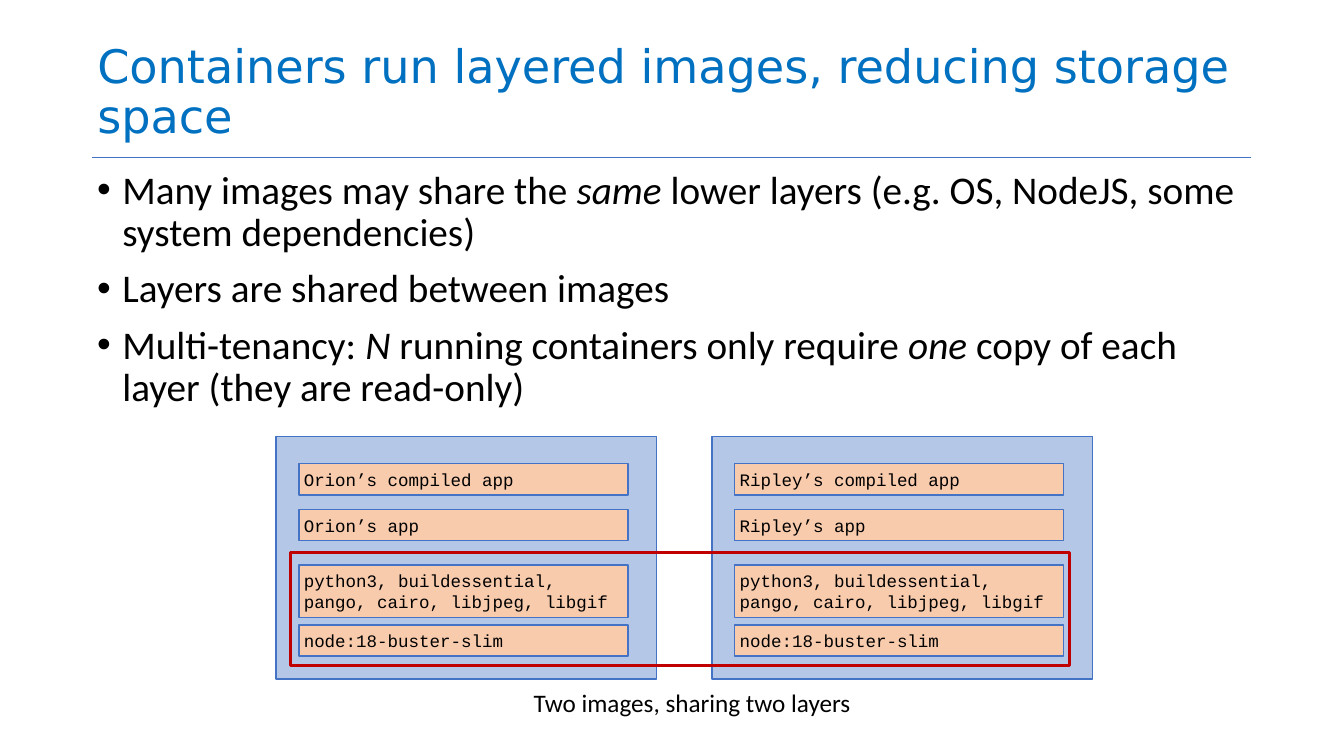
from dataclasses import dataclass

from lxml import etree
from pptx import Presentation
from pptx.dml.color import RGBColor
from pptx.enum.shapes import MSO_CONNECTOR, MSO_SHAPE
from pptx.enum.text import MSO_ANCHOR, MSO_AUTO_SIZE, PP_ALIGN
from pptx.oxml.ns import qn
from pptx.util import Inches, Pt

RECT = MSO_SHAPE.RECTANGLE
LINE = MSO_CONNECTOR.STRAIGHT
TOP, MID, LOW = MSO_ANCHOR.TOP, MSO_ANCHOR.MIDDLE, MSO_ANCHOR.BOTTOM
LEFT = PP_ALIGN.LEFT
NO_FIT = MSO_AUTO_SIZE.NONE


@dataclass(frozen=True)
class Theme:
    head: str = "0070C0"
    ink: str = "000000"
    edge: str = "4472C4"
    image: str = "B4C7E7"
    layer: str = "F8CBAD"
    mark: str = "C00000"
    head_font: str = "DejaVu Sans"
    body_font: str = "Calibri"
    code_font: str = "Courier New"
    head_size: int = 66
    body_size: int = 56
    note_size: int = 36
    code_size: int = 25


THEME = Theme()

# Each point is a list of (text, italic) runs
POINTS = [
    [("Many images may share the ", False), ("same", True),
     (" lower layers (e.g. OS, NodeJS, some system dependencies)", False)],
    [("Layers are shared between images", False)],
    [("Multi-tenancy: ", False), ("N", True),
     (" running containers only require ", False), ("one", True),
     (" copy of each layer (they are read-only)", False)],
]
OWNERS = ["Orion", "Ripley"]
# Layers from top to bottom: text, offset within the image, height
LAYERS = [
    ("{}’s compiled app", 0.54, 0.62),
    ("{}’s app", 1.45, 0.62),
    ("python3, buildessential, pango, cairo, libjpeg, libgif", 2.55, 1.04),
    ("node:18-buster-slim", 3.74, 0.62),
]


def color(code):
    return RGBColor.from_string(code)


def style(para, font, size, code):
    para.alignment = LEFT
    para.font.name = font
    para.font.size = Pt(size)
    para.font.color.rgb = color(code)


def set_frame(frame, anchor):
    frame.word_wrap = True
    frame.auto_size = NO_FIT
    frame.vertical_anchor = anchor
    frame.margin_left = frame.margin_right = Inches(0.1)
    frame.margin_top = frame.margin_bottom = Inches(0.1)


def add_rect(slide, box, fill, edge, width):
    rect = slide.shapes.add_shape(RECT, *map(Inches, box))
    rect.shadow.inherit = False
    if fill:
        rect.fill.solid()
        rect.fill.fore_color.rgb = color(fill)
    else:
        rect.fill.background()
    rect.line.color.rgb = color(edge)
    rect.line.width = Pt(width)
    return rect


def add_bullet(para):
    props = para._p.get_or_add_pPr()
    props.set("marL", str(Inches(0.5)))
    props.set("indent", str(-Inches(0.5)))
    etree.SubElement(props, qn("a:buFont")).set("typeface", "Arial")
    etree.SubElement(props, qn("a:buChar")).set("char", "•")


def add_title(slide, box, text):
    left, top, width, height = box
    title = slide.shapes.title
    title.left, title.top, title.width, title.height = map(Inches, box)
    set_frame(title.text_frame, LOW)
    title.text_frame.text = text
    para = title.text_frame.paragraphs[0]
    para.line_spacing = 0.9
    style(para, THEME.head_font, THEME.head_size, THEME.head)

    # Rule below the title
    y = Inches(top + height + 0.19)
    rule = slide.shapes.add_connector(
        LINE, Inches(left), y, Inches(left + width), y)
    rule.line.color.rgb = color(THEME.edge)
    rule.line.width = Pt(1)
    etree.SubElement(rule._element.spPr, qn("a:effectLst"))


def add_points(slide, box, points):
    frame = slide.shapes.add_textbox(*map(Inches, box)).text_frame
    set_frame(frame, TOP)
    for i, runs in enumerate(points):
        para = frame.add_paragraph() if i else frame.paragraphs[0]
        add_bullet(para)
        para.line_spacing = 0.9
        para.space_before = Pt(20 if i else 0)
        style(para, THEME.body_font, THEME.body_size, THEME.ink)
        for text, slant in runs:
            run = para.add_run()
            run.text = text
            if slant:
                run.font.italic = True


def add_image(slide, box, owner):
    left, top, width, height = box
    add_rect(slide, box, THEME.image, THEME.edge, 2)
    for text, drop, tall in LAYERS:
        layer = add_rect(slide, (left + 0.45, top + drop, 6.53, tall),
                         THEME.layer, THEME.edge, 2)
        set_frame(layer.text_frame, MID)
        layer.text_frame.text = text.format(owner)
        style(layer.text_frame.paragraphs[0],
              THEME.code_font, THEME.code_size, THEME.ink)


def add_stacks(slide, box):
    left, top, width, height = box
    wide = 7.55
    step = (width - wide) / (len(OWNERS) - 1)
    for i, owner in enumerate(OWNERS):
        add_image(slide, (left + i * step, top, wide, height), owner)

    # Frame around the shared layers
    add_rect(slide, (left + 0.28, top + 2.3, 15.47, 2.25),
             None, THEME.mark, 4.5)

    # Caption
    note = slide.shapes.add_textbox(
        Inches(left + 5.01), Inches(top + height + 0.07),
        Inches(7.28), Inches(0.81)).text_frame
    set_frame(note, MID)
    note.text = "Two images, sharing two layers"
    style(note.paragraphs[0], THEME.body_font, THEME.note_size, THEME.ink)


def main():
    deck = Presentation()
    deck.slide_width, deck.slide_height = Inches(26.67), Inches(15)
    slide = deck.slides.add_slide(deck.slide_layouts[5])
    add_title(slide, (1.83, 0.04, 23, 2.9),
              "Containers run layered images, reducing storage space")
    add_points(slide, (1.83, 3.28, 23, 5.2), POINTS)
    add_stacks(slide, (5.48, 8.66, 16.2, 4.81))
    deck.save("out.pptx")


if __name__ == "__main__":
    main()
